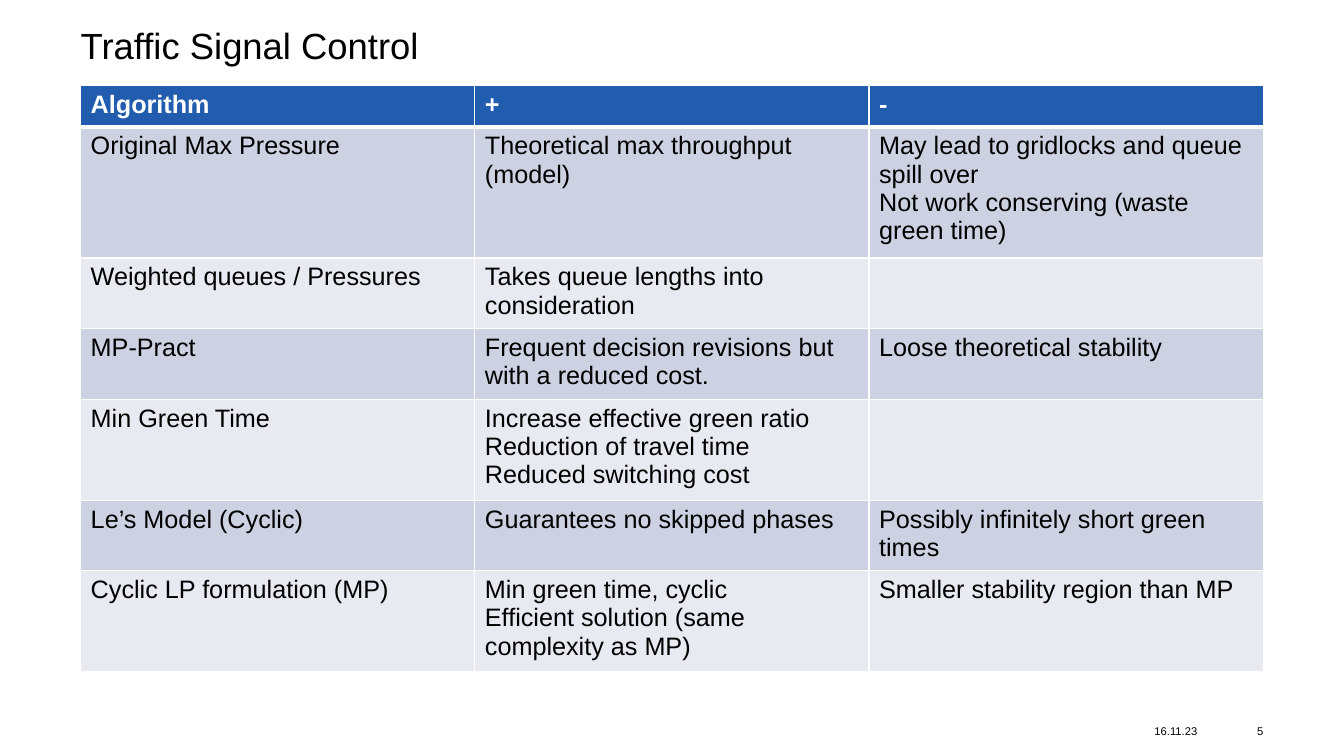
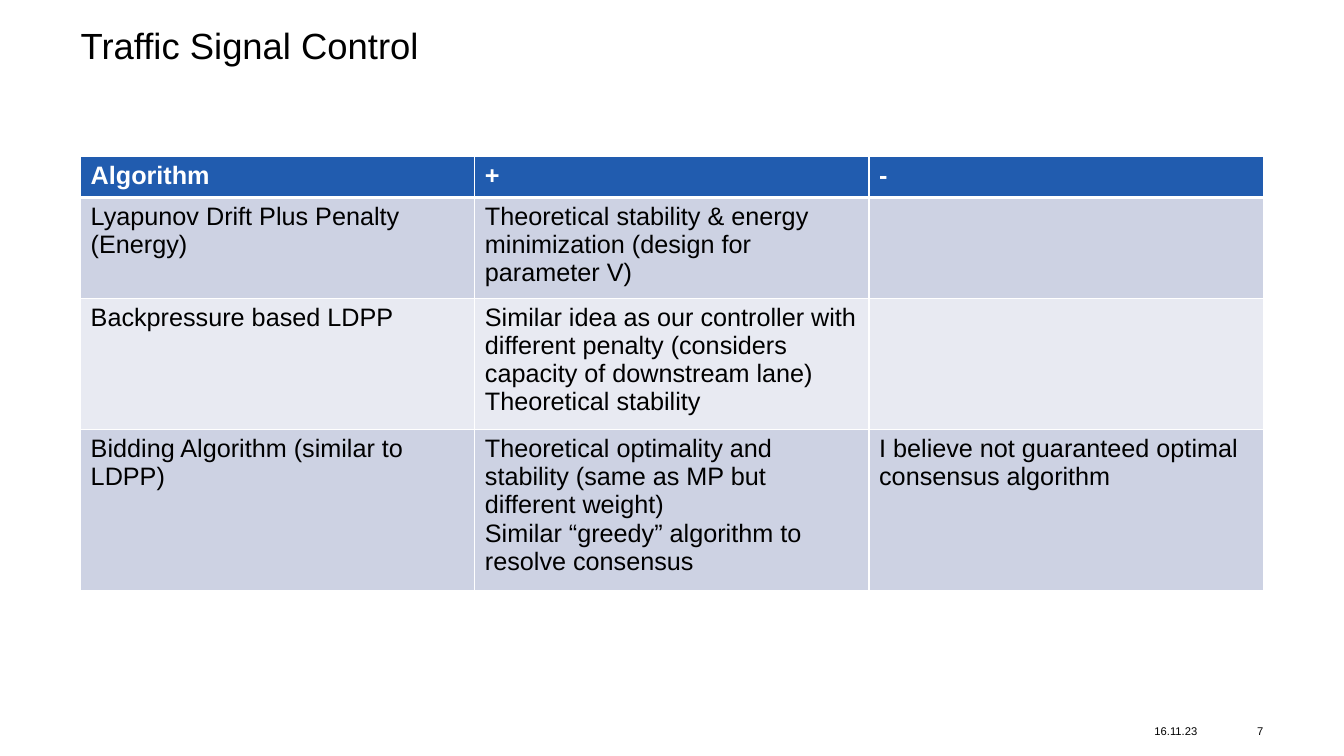
import pptx
import pptx.dml.color
import pptx.enum.text
import pptx.oxml
import pptx.oxml.ns
import pptx.util

Inches = pptx.util.Inches
Pt = pptx.util.Pt
ALIGN = pptx.enum.text.PP_ALIGN
ANCHOR = pptx.enum.text.MSO_ANCHOR

FONT = "Arial"
BLACK, WHITE = "000000", "FFFFFF"
HEADER_BLUE = "215CAF"
BANDS = ["CDD2E3", "E8EAF2"]
LEFT, WIDTH = 0.8, 11.73
ROW_HEIGHT = 0.41
HEADINGS = ["Algorithm", "+", "-"]


def style_text(frame, size, color=BLACK, bold=False):
    for paragraph in frame.paragraphs:
        for run in paragraph.runs:
            run.font.name = FONT
            run.font.size = Pt(size)
            run.font.bold = bold
            run.font.color.rgb = pptx.dml.color.RGBColor.from_string(color)


def add_label(slide, text, left, top, width, height, size, align=ALIGN.LEFT, anchor=ANCHOR.MIDDLE):
    box = slide.shapes.add_textbox(Inches(left), Inches(top), Inches(width), Inches(height))
    frame = box.text_frame
    frame.word_wrap = True
    frame.vertical_anchor = anchor
    frame.margin_left = frame.margin_top = frame.margin_right = frame.margin_bottom = 0
    frame.text = text
    frame.paragraphs[0].alignment = align
    style_text(frame, size)
    return frame.paragraphs[0]


max_pressure_rows = [
    ["Original Max Pressure", "Theoretical max throughput (model)",
     "May lead to gridlocks and queue spill over\nNot work conserving (waste green time)"],
    ["Weighted queues / Pressures", "Takes queue lengths into consideration", ""],
    ["MP-Pract", "Frequent decision revisions but with a reduced cost.",
     "Loose theoretical stability"],
    ["Min Green Time",
     "Increase effective green ratio\nReduction of travel time\nReduced switching cost", ""],
    ["Le’s Model (Cyclic)", "Guarantees no skipped phases",
     "Possibly infinitely short green times"],
    ["Cyclic LP formulation (MP)",
     "Min green time, cyclic\nEfficient solution (same complexity as MP)",
     "Smaller stability region than MP"],
]
drift_penalty_rows = [
    ["Lyapunov Drift Plus Penalty (Energy)",
     "Theoretical stability & energy minimization (design for parameter V)", ""],
    ["Backpressure based LDPP",
     "Similar idea as our controller with different penalty "
     "(considers capacity of downstream lane)\nTheoretical stability", ""],
    ["Bidding Algorithm (similar to LDPP)",
     "Theoretical optimality and stability (same as MP but different weight)\n"
     "Similar “greedy” algorithm to resolve consensus",
     "I believe not guaranteed optimal consensus algorithm"],
]
pages = [("5", 0.85, max_pressure_rows), ("7", 1.55, drift_penalty_rows)]

deck = pptx.Presentation()
deck.slide_width = Inches(13.33)
deck.slide_height = Inches(7.5)

for page_number, table_top, algorithms in pages:
    slide = deck.slides.add_slide(deck.slide_layouts[6])
    title = add_label(slide, "Traffic Signal Control", LEFT, 0.28, WIDTH, 0.5, 26,
                      anchor=ANCHOR.TOP)
    title.line_spacing = 0.9

    rows = [HEADINGS] + algorithms
    comparison = slide.shapes.add_table(
        len(rows), len(HEADINGS), Inches(LEFT), Inches(table_top),
        Inches(WIDTH), Inches(ROW_HEIGHT * len(rows))).table
    for row_index, texts in enumerate(rows):
        is_header = row_index == 0
        fill = HEADER_BLUE if is_header else BANDS[(row_index - 1) % 2]
        for column_index, text in enumerate(texts):
            cell = comparison.cell(row_index, column_index)
            cell.text_frame.text = text
            style_text(cell.text_frame, 18, WHITE if is_header else BLACK, is_header)
            borders = {"lnL": 1, "lnR": 1, "lnT": 3 if row_index == 1 else 1,
                       "lnB": 3 if is_header else 1}
            for side, points in borders.items():
                cell._tc.get_or_add_tcPr().append(pptx.oxml.parse_xml(
                    f'<a:{side} {pptx.oxml.ns.nsdecls("a")} w="{Pt(points)}">'
                    f'<a:solidFill><a:srgbClr val="{WHITE}"/></a:solidFill></a:{side}>'))
            cell.fill.solid()
            cell.fill.fore_color.rgb = pptx.dml.color.RGBColor.from_string(fill)

    add_label(slide, "16.11.23", 11.45, 7.13, 0.67, 0.24, 8)
    add_label(slide, page_number, 12.18, 7.13, 0.35, 0.24, 8, ALIGN.RIGHT)

deck.save("out.pptx")
